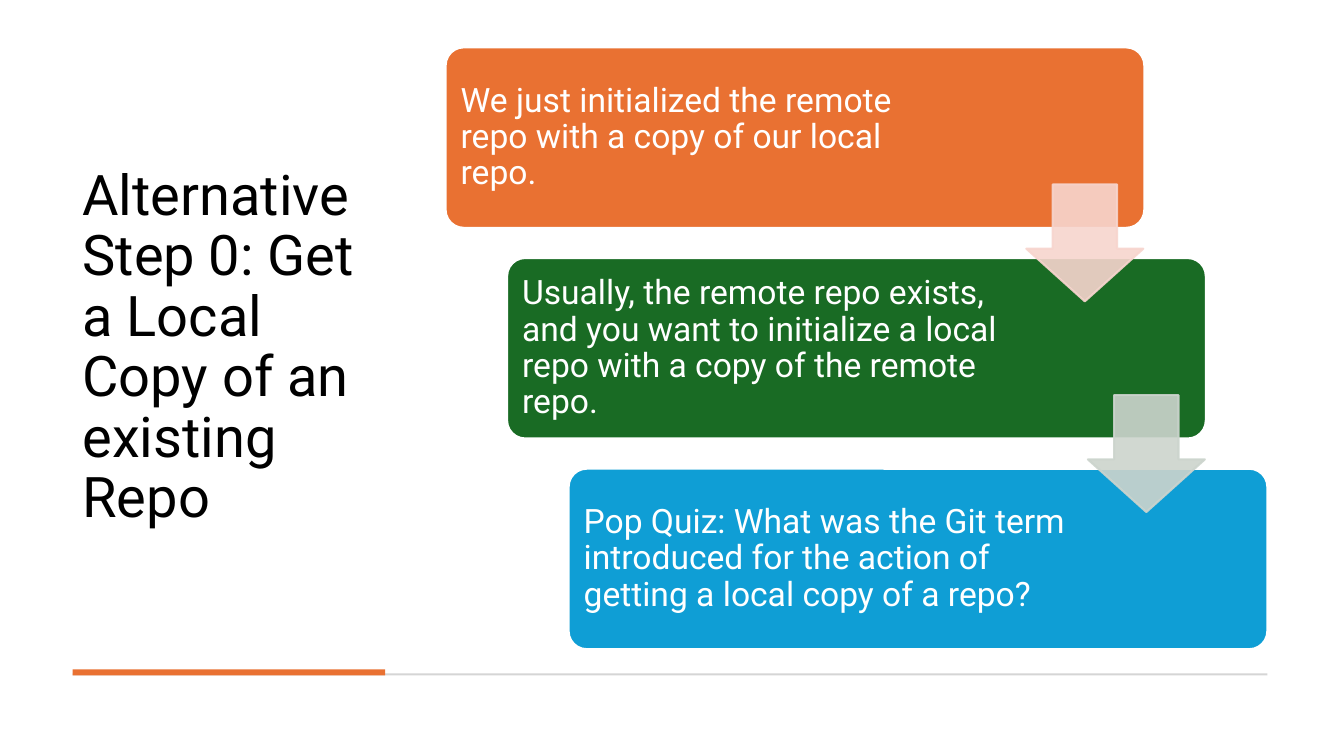
from pptx import Presentation
from pptx.dml.color import RGBColor
from pptx.enum.shapes import MSO_SHAPE
from pptx.enum.text import MSO_ANCHOR, PP_ALIGN
from pptx.oxml.ns import qn
from pptx.util import Inches, Pt
from lxml.etree import SubElement

# Content
TITLE = "Alternative Step 0: Get a Local Copy of an existing Repo"
STEPS = [  # text, card colour, colour of the arrow that follows
    ("We just initialized the remote repo with a copy of our local repo.",
     "E97132", "F7D5CE"),
    ("Usually, the remote repo exists, and you want to initialize a local "
     "repo with a copy of the remote repo.", "196B24", "CCD4CD"),
    ("Pop Quiz: What was the Git term introduced for the action of getting "
     "a local copy of a repo?", "0F9ED5", None),
]

THEME = dict(font="Roboto", title_size=40, step_size=24, black="000000",
             white="FFFFFF", rule="D5D5D5", accent="E97132")

# Layout, in inches
LEFT, TOP, WIDTH = 0.72, 0.47, 11.85
CARD_LEFT, CARD_W, CARD_H = 4.42, 6.93, 1.79
STEP_X, STEP_Y = 0.61, 2.09
PAD, TEXT_W = 0.05, 5.05
ARROW_LEFT, ARROW_TOP, ARROW = 10.18, 1.83, 1.16


def add_text(s, text, x, y, w, h, *, size, color, inset_y=0.05):
    tf = s.shapes.add_textbox(Inches(x), Inches(y), Inches(w), Inches(h)).text_frame
    tf.word_wrap = True
    tf.vertical_anchor = MSO_ANCHOR.MIDDLE
    tf.margin_left = tf.margin_right = Inches(0.1)
    tf.margin_top = tf.margin_bottom = Inches(inset_y)
    p = tf.paragraphs[0]
    p.alignment = PP_ALIGN.LEFT
    p.line_spacing = 0.9
    r = p.add_run()
    r.text = text
    r.font.name = THEME["font"]
    r.font.size = Pt(size)
    r.font.color.rgb = RGBColor.from_string(color)


def add_block(s, kind, x, y, w, h, fill, line=None, adj=(), opacity=None):
    sp = s.shapes.add_shape(kind, Inches(x), Inches(y), Inches(w), Inches(h))
    sp.shadow.inherit = False
    for i, value in enumerate(adj):
        sp.adjustments[i] = value
    sp.fill.solid()
    sp.fill.fore_color.rgb = RGBColor.from_string(fill)
    if line:
        sp.line.color.rgb = RGBColor.from_string(line)
        sp.line.width = Pt(1.5)
    else:
        sp.line.fill.background()
    if opacity:
        for clr in sp._element.spPr.iter(qn("a:srgbClr")):
            SubElement(clr, qn("a:alpha")).set("val", str(opacity * 1000))


def main():
    prs = Presentation()
    prs.slide_width, prs.slide_height = Inches(13.33), Inches(7.5)
    s = prs.slides.add_slide(prs.slide_layouts[6])

    # Title and bottom rule
    add_text(s, TITLE, LEFT, TOP, 3.1, 5.97,
             size=THEME["title_size"], color=THEME["black"])
    add_block(s, MSO_SHAPE.RECTANGLE, LEFT, 6.68, WIDTH, 0.02, THEME["rule"])
    add_block(s, MSO_SHAPE.RECTANGLE, LEFT, 6.64, 3.1, 0.06, THEME["accent"])

    # Staggered step cards
    for i, (text, fill, _) in enumerate(STEPS):
        x, y = CARD_LEFT + i * STEP_X, TOP + i * STEP_Y
        add_block(s, MSO_SHAPE.ROUNDED_RECTANGLE, x, y, CARD_W, CARD_H, fill,
                  line=THEME["white"], adj=(0.1,))
        add_text(s, text, x + PAD, y + PAD, TEXT_W, CARD_H - 2 * PAD,
                 size=THEME["step_size"], color=THEME["white"], inset_y=0.1)

    # Arrows between cards, in front of them
    for i, (_, _, tint) in enumerate(STEPS[:-1]):
        add_block(s, MSO_SHAPE.DOWN_ARROW, ARROW_LEFT + i * STEP_X,
                  ARROW_TOP + i * STEP_Y, ARROW, ARROW, tint, line=tint,
                  adj=(0.55, 0.45), opacity=90)

    prs.save("out.pptx")


if __name__ == "__main__":
    main()
